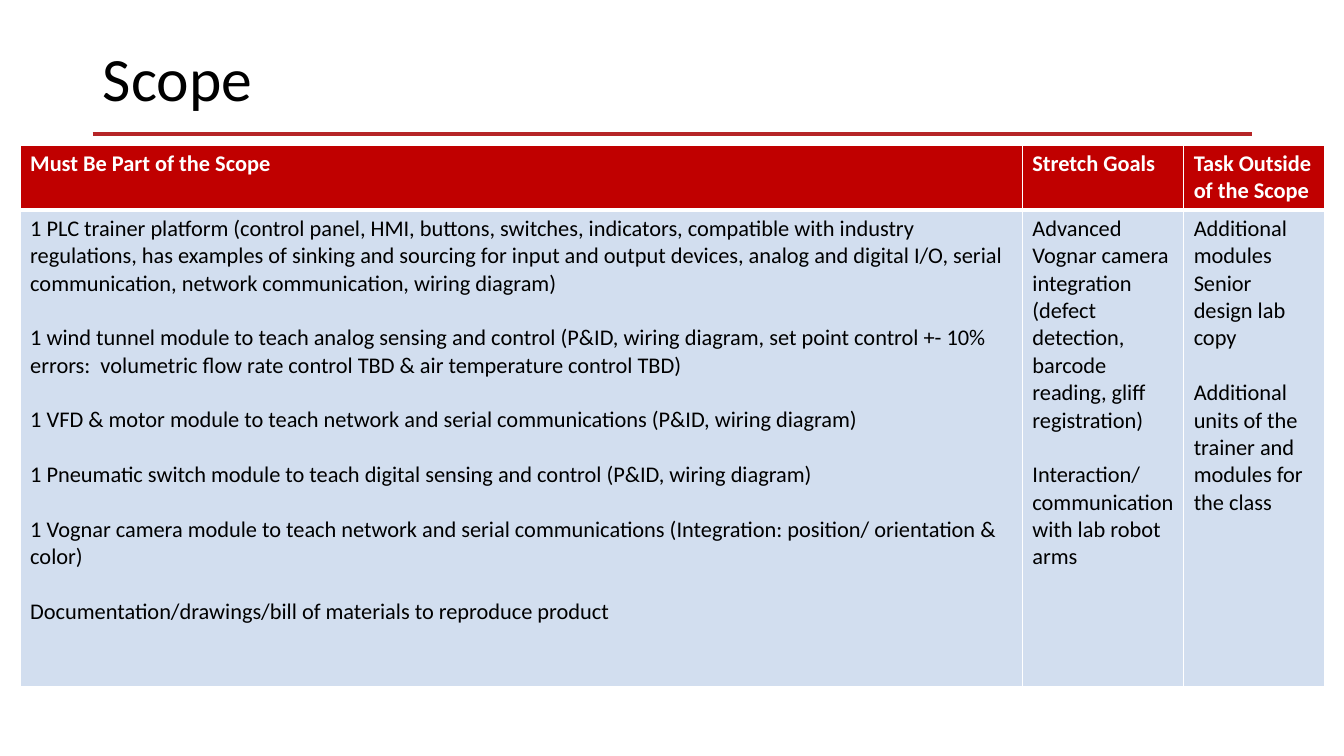
from lxml import etree
from pptx import Presentation
from pptx.dml.color import RGBColor as RGB
from pptx.enum.shapes import MSO_CONNECTOR as CONN
from pptx.enum.text import MSO_ANCHOR as ANCHOR, PP_ALIGN as ALIGN
from pptx.oxml.ns import qn
from pptx.util import Inches, Pt

COLORS = {"rule": "B62527", "header": "C00000", "body": "D2DEEF",
          "white": "FFFFFF", "black": "000000"}


def style_run(r, size, color, bold=False):
    for name, value in {"name": "Calibri", "size": Pt(size), "bold": bold}.items():
        setattr(r.font, name, value)
    r.font.color.rgb = RGB.from_string(COLORS[color])


def add_border(cell, side, width):
    ln = etree.SubElement(cell._tc.get_or_add_tcPr(), qn(f"a:ln{side}"), w=str(Pt(width)))
    fill = etree.SubElement(ln, qn("a:solidFill"))
    etree.SubElement(fill, qn("a:srgbClr"), val=COLORS["white"])


prs = Presentation()
prs.slide_width, prs.slide_height = Inches(13.33), Inches(7.5)
s = prs.slides.add_slide(prs.slide_layouts[5])

# Title
title = s.shapes.title
box = {"left": 0.92, "top": 0.4, "width": 11.5, "height": 0.82}
for name, value in box.items():
    setattr(title, name, Inches(value))
tf = title.text_frame
tf.vertical_anchor = ANCHOR.MIDDLE
p = tf.paragraphs[0]
p.alignment, p.line_spacing = ALIGN.LEFT, 0.9
r = p.add_run()
r.text = "Scope"
style_run(r, 44, "black")

# Rule under the title
rule = s.shapes.add_connector(CONN.STRAIGHT, Inches(0.92), Inches(1.33),
                              Inches(12.42), Inches(1.33))
rule.line.color.rgb = RGB.from_string(COLORS["rule"])
rule.line.width = Pt(2.25)
etree.SubElement(rule._element.spPr, qn("a:effectLst"))

# Scope table: each column has a heading, then groups of lines set apart by a gap
columns = [
    (9.94, "Must Be Part of the Scope", [
        ["1 PLC trainer platform (control panel, HMI, buttons, switches, indicators, "
         "compatible with industry regulations, has examples of sinking and sourcing for "
         "input and output devices, analog and digital I/O, serial communication, network "
         "communication, wiring diagram)"],
        ["1 wind tunnel module to teach analog sensing and control (P&ID, wiring diagram, "
         "set point control +- 10% errors:  volumetric flow rate control TBD & air "
         "temperature control TBD)"],
        ["1 VFD & motor module to teach network and serial communications "
         "(P&ID, wiring diagram)"],
        ["1 Pneumatic switch module to teach digital sensing and control "
         "(P&ID, wiring diagram)"],
        ["1 Vognar camera module to teach network and serial communications "
         "(Integration: position/ orientation & color)"],
        ["Documentation/drawings/bill of materials to reproduce product"],
    ]),
    (1.6, "Stretch Goals", [
        ["Advanced Vognar camera integration (defect detection, barcode reading, "
         "gliff registration)"],
        ["Interaction/ communication with lab robot arms"],
    ]),
    (1.4, "Task Outside of the Scope", [
        ["Additional modules", "Senior design lab copy"],
        ["Additional units of the trainer and modules for the class"],
    ]),
]
row_heights = [0.64, 4.73]
table = s.shapes.add_table(len(row_heights), len(columns), Inches(0.2), Inches(1.44),
                           Inches(12.94), Inches(sum(row_heights))).table
table.horz_banding = False
for row, height in zip(table.rows, row_heights):
    row.height = Inches(height)

row_formats = [
    {"fill": "header", "color": "white", "bold": True, "borders": dict(L=1, R=1, T=1, B=3)},
    {"fill": "body", "color": "black", "bold": False, "borders": dict(L=1, R=1, T=3, B=1)},
]
for col, (width, heading, groups) in enumerate(columns):
    table.columns[col].width = Inches(width)
    for row, (fmt, content) in enumerate(zip(row_formats, [[[heading]], groups])):
        cell = table.cell(row, col)
        for side, weight in fmt["borders"].items():
            add_border(cell, side, weight)
        cell.fill.solid()
        cell.fill.fore_color.rgb = RGB.from_string(COLORS[fmt["fill"]])
        tf = cell.text_frame
        for g, group in enumerate(content):
            for i, line in enumerate(group):
                first = g == 0 and i == 0
                p = tf.paragraphs[0] if first else tf.add_paragraph()
                p.space_before = Pt(19.5 if g and i == 0 else 0)
                r = p.add_run()
                r.text = line
                style_run(r, 16, fmt["color"], fmt["bold"])

prs.save("out.pptx")
